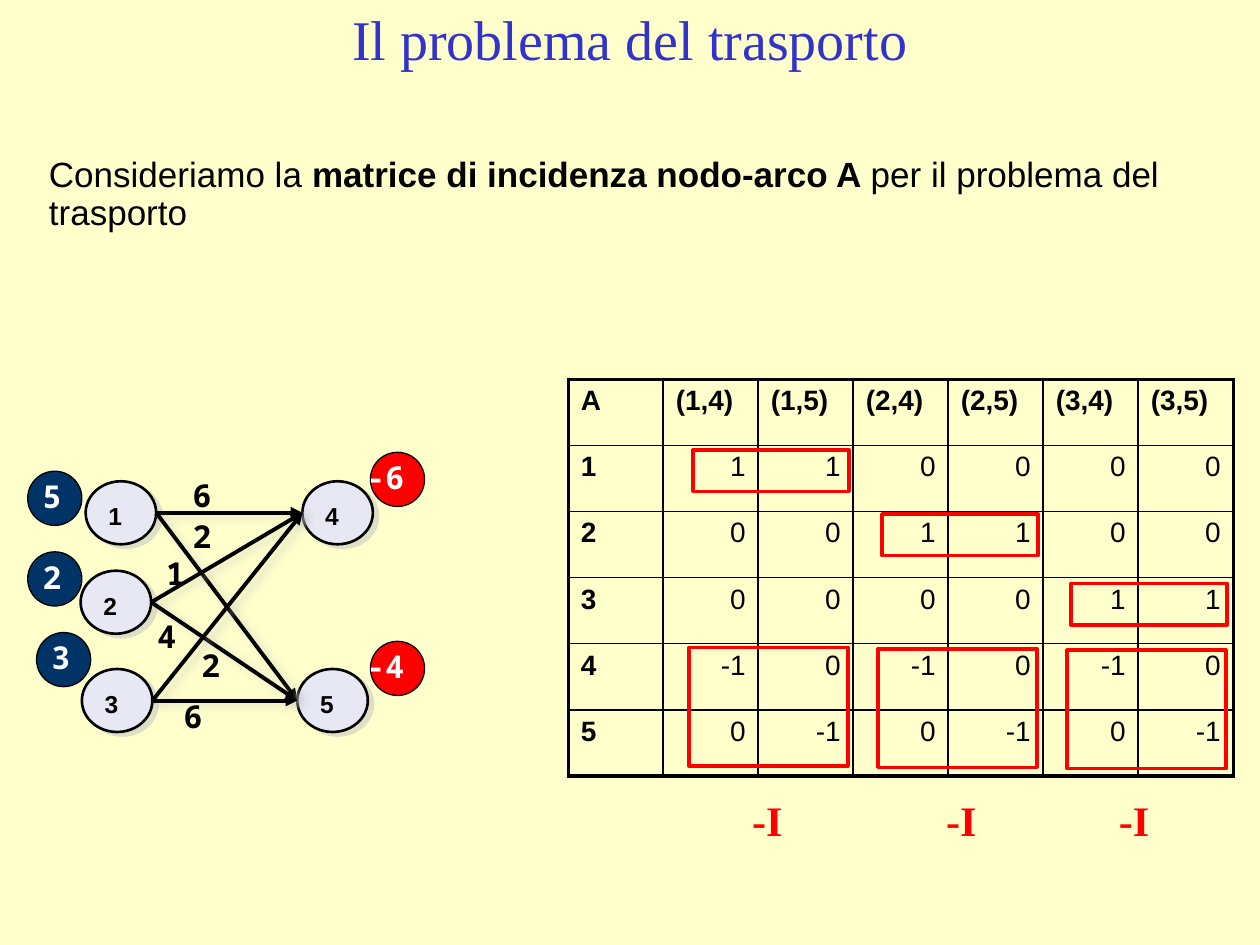
from lxml import etree
from pptx import Presentation
from pptx.dml.color import RGBColor
from pptx.enum.shapes import MSO_CONNECTOR, MSO_SHAPE
from pptx.enum.text import MSO_ANCHOR, PP_ALIGN
from pptx.oxml.ns import qn
from pptx.util import Inches, Pt

LEFT, CENTER, RIGHT = PP_ALIGN.LEFT, PP_ALIGN.CENTER, PP_ALIGN.RIGHT
TOP, MIDDLE = MSO_ANCHOR.TOP, MSO_ANCHOR.MIDDLE
ELLIPSE, RECTANGLE = MSO_SHAPE.OVAL, MSO_SHAPE.RECTANGLE
STRAIGHT = MSO_CONNECTOR.STRAIGHT
SANS, MONO, SERIF = "Arial", "Noto Sans Mono", "Times New Roman"
BLACK, WHITE, RED, NAVY, LILAC = "000000", "FFFFFF", "FF0000", "003366", "E8E8F4"
CREAM, BLUE, SHADOW = "FFFFCC", "3333CC", "C0C0C0"

TITLE = "Il problema del trasporto"
INTRO = [
    ("Consideriamo la ", False),
    ("matrice di incidenza nodo-arco A ", True),
    ("per il problema del trasporto", False),
]
NODES = {
    "1": (0.68, 3.82), "2": (0.64, 4.53), "3": (0.65, 5.31),
    "4": (2.40, 3.82), "5": (2.36, 5.31),
}
BALANCES = [
    ("5", 0.22, 3.74, NAVY), ("2", 0.22, 4.38, NAVY), ("3", 0.29, 5.02, NAVY),
    ("-4", 2.94, 5.09, RED), ("-6", 2.94, 3.59, RED),
]
ARCS = ["14", "15", "24", "25", "34", "35"]
COSTS = [
    ("6", 1.00, 3.76), ("2", 1.00, 4.09), ("1", 0.79, 4.38),
    ("4", 0.72, 4.88), ("2", 1.07, 5.11), ("6", 0.93, 5.52),
]
MATRIX = [
    ["A", "(1,4)", "(1,5)", "(2,4)", "(2,5)", "(3,4)", "(3,5)"],
    ["1", "1", "1", "0", "0", "0", "0"],
    ["2", "0", "0", "1", "1", "0", "0"],
    ["3", "0", "0", "0", "0", "1", "1"],
    ["4", "-1", "0", "-1", "0", "-1", "0"],
    ["5", "0", "-1", "0", "-1", "0", "-1"],
]
TABLE_AREA = (4.51, 3.01, 5.28, 3.15)
FRAME_STEP = 1.5
ROW_FRAME_TOPS = [3.57, 4.08, 4.63]
BLOCK_FRAME_TOPS = [5.14, 5.15, 5.16]
IDENTITY_LEFTS = [5.79, 7.33, 8.70]
NODE_WIDTH, NODE_HEIGHT = 0.56, 0.5


def color(value):
    """Turn a hex string into a colour."""
    return RGBColor.from_string(value)


def add_run(para, text, font, size, ink, bold=False):
    """Append one formatted run to a paragraph."""
    span = para.add_run()
    span.text = text
    span.font.name, span.font.size, span.font.bold = font, Pt(size), bold
    span.font.color.rgb = color(ink)


def hang(para):
    """Give a paragraph a hanging indent and tight lines."""
    properties = para._p.get_or_add_pPr()
    properties.set("marL", str(Inches(0.7)))
    properties.set("indent", str(Inches(-0.27)))
    para.line_spacing = 0.9


def add_text(page, area, runs, align=LEFT, anchor=TOP, inset=True):
    """Add a text box and return its paragraph."""
    frame = page.shapes.add_textbox(*map(Inches, area)).text_frame
    frame.word_wrap, frame.vertical_anchor = True, anchor
    if not inset:
        frame.margin_left = frame.margin_right = 0
        frame.margin_top = frame.margin_bottom = 0
    para = frame.paragraphs[0]
    para.alignment = align
    for run in runs:
        add_run(para, *run)
    return para


def add_outline(page, kind, area, ink, weight, fill=None):
    """Add a preset shape with a line and an optional fill."""
    shape = page.shapes.add_shape(kind, *map(Inches, area))
    shape.shadow.inherit = False
    shape.line.color.rgb, shape.line.width = color(ink), Pt(weight)
    if fill:
        shape.fill.solid()
        shape.fill.fore_color.rgb = color(fill)
    else:
        shape.fill.background()
    return shape


def add_shadow(shape, blur, distance, angle):
    """Give a shape or connector a half-transparent grey shadow."""
    properties = shape._element.spPr
    effects = properties.find(qn("a:effectLst"))
    if effects is None:
        effects = etree.SubElement(properties, qn("a:effectLst"))
    outer = etree.SubElement(
        effects, qn("a:outerShdw"), blurRad=str(Pt(blur)),
        dist=str(Pt(distance)), dir=str(angle * 60000), rotWithShape="0")
    tint = etree.SubElement(outer, qn("a:srgbClr"), val=SHADOW)
    etree.SubElement(tint, qn("a:alpha"), val="50000")


def add_arc(page, start, end):
    """Draw an arrow from a node's right side to another's left side."""
    left, top = NODES[start]
    target_left, target_top = NODES[end]
    middle = NODE_HEIGHT / 2
    arrow = page.shapes.add_connector(STRAIGHT, *map(Inches, (
        left + NODE_WIDTH, top + middle, target_left, target_top + middle)))
    arrow.line.color.rgb, arrow.line.width = color(BLACK), Pt(2.25)
    etree.SubElement(arrow.line._get_or_add_ln(), qn("a:tailEnd"), type="triangle")
    add_shadow(arrow, 5, 3.7, 35)


def set_borders(cell, weights):
    """Draw the four borders of a cell."""
    properties = cell._tc.get_or_add_tcPr()
    for side, weight in zip("LRTB", weights):
        line = etree.SubElement(properties, qn(f"a:ln{side}"), w=str(Pt(weight)))
        fill = etree.SubElement(line, qn("a:solidFill"))
        etree.SubElement(fill, qn("a:srgbClr"), val=BLACK)


def add_matrix(page):
    """Add the incidence matrix as a table with a heavy outer border."""
    rows, columns = len(MATRIX), len(MATRIX[0])
    table = page.shapes.add_table(rows, columns, *map(Inches, TABLE_AREA)).table
    table.first_row = table.horz_banding = False
    for i, values in enumerate(MATRIX):
        for j, value in enumerate(values):
            cell = table.cell(i, j)
            edges = (j == 0, j == columns - 1, i == 0, i == rows - 1)
            set_borders(cell, [2.25 if edge else 1 for edge in edges])
            cell.fill.background()
            heading = i == 0 or j == 0
            para = cell.text_frame.paragraphs[0]
            para.alignment = LEFT if heading else RIGHT
            add_run(para, value, SANS, 16, BLACK, heading)


def add_network(page):
    """Draw the nodes, balances, arcs and costs of the transport graph."""
    for name, (left, top) in NODES.items():
        node = add_outline(page, ELLIPSE, (left, top, NODE_WIDTH, NODE_HEIGHT),
                           BLACK, 1.5, LILAC)
        add_shadow(node, 0, 3.6, 34)
        add_text(page, (left + 0.18, top + 0.16, 0.18, 0.24),
                 [(name, SANS, 14, BLACK, True)], inset=False)
    for value, left, top, fill in BALANCES:
        badge = add_outline(page, ELLIPSE, (left, top, 0.43, 0.43), BLACK, 0.75, fill)
        frame = badge.text_frame
        frame.word_wrap, frame.vertical_anchor = False, MIDDLE
        para = frame.paragraphs[0]
        para.alignment = RIGHT
        hang(para)
        add_run(para, value, MONO, 18, WHITE, True)
    for start, end in ARCS:
        add_arc(page, start, end)
    for value, left, top in COSTS:
        hang(add_text(page, (left, top, 1.36, 0.37), [(value, MONO, 18, BLACK, True)]))


def main():
    """Build the slide and save it."""
    deck = Presentation()
    deck.slide_width, deck.slide_height = Inches(10), Inches(7.5)
    page = deck.slides.add_slide(deck.slide_layouts[6])
    page.background.fill.solid()
    page.background.fill.fore_color.rgb = color(CREAM)
    add_network(page)
    add_matrix(page)
    intro = add_text(page, (0.29, 1.2, 9.5, 0.71),
                     [(text, SANS, 20, BLACK, bold) for text, bold in INTRO])
    intro.line_spacing = 0.9
    for i, top in enumerate(ROW_FRAME_TOPS):
        add_outline(page, RECTANGLE, (5.5 + i * FRAME_STEP, top, 1.24, 0.33), RED, 2)
    for i, top in enumerate(BLOCK_FRAME_TOPS):
        add_outline(page, RECTANGLE, (5.47 + i * FRAME_STEP, top, 1.26, 0.94), RED, 2)
    for left in IDENTITY_LEFTS:
        add_text(page, (left, 6.26, 0.6, 0.51), [("-I", SERIF, 24, RED, True)], CENTER)
    add_text(page, (0.22, 0.04, 9.56, 0.52), [(TITLE, SERIF, 32, BLUE)], CENTER, MIDDLE)
    deck.save("out.pptx")


if __name__ == "__main__":
    main()
